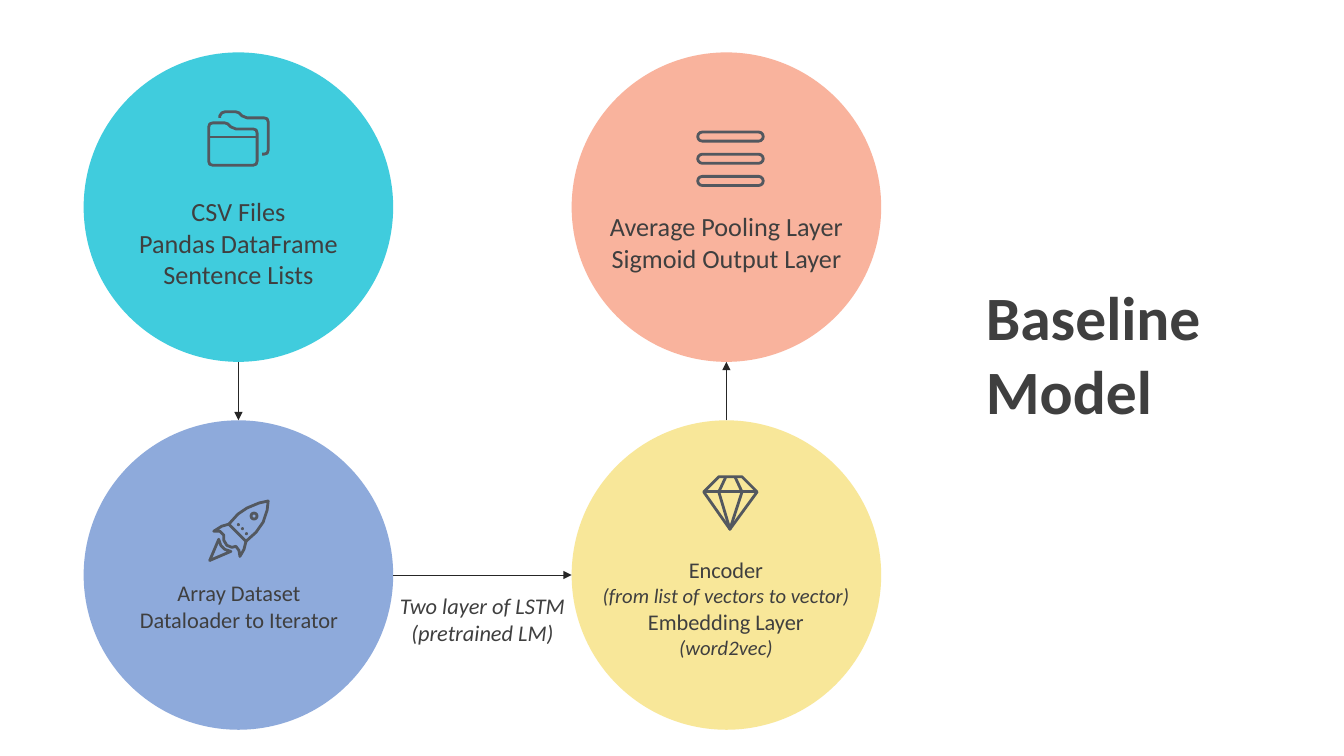
from dataclasses import dataclass

from lxml.etree import SubElement
from pptx import Presentation
from pptx.dml.color import RGBColor
from pptx.enum.shapes import MSO_CONNECTOR, MSO_SHAPE
from pptx.enum.text import PP_ALIGN
from pptx.oxml.ns import qn
from pptx.shapes.autoshape import Shape
from pptx.slide import Slide
from pptx.util import Inches, Pt

Point = tuple[float, float]
Contour = list[Point]

FONT = "Calibri"
TEXT_COLOR = "3F3F3F"
ICON_COLOR = "53585F"
ARROW_COLOR = "262626"
ICON_STROKE = 2
DIAMETER = 3.07
RADIUS = DIAMETER / 2
LEFT_COLUMN, RIGHT_COLUMN = 0.83, 5.67
TOP_ROW, BOTTOM_ROW = 0.52, 4.17


@dataclass
class Line:
    text: str
    size: float
    italic: bool = False
    bold: bool = False


@dataclass
class Label:
    left: float
    top: float
    width: float
    height: float
    lines: list[Line]
    align: PP_ALIGN = PP_ALIGN.CENTER


@dataclass
class Stage:
    left: float
    top: float
    color: str
    opacity: int
    label: Label


@dataclass
class Arrow:
    start: Point
    end: Point


STAGES = [
    Stage(LEFT_COLUMN, BOTTOM_ROW, "4472C4", 60, Label(1.14, 5.7, 2.46, 0.64, [
        Line("Array Dataset", 16), Line("Dataloader to Iterator", 16)])),
    Stage(LEFT_COLUMN, TOP_ROW, "00BCD2", 75, Label(1.11, 1.89, 2.51, 1.01, [
        Line("CSV Files", 18.7), Line("Pandas DataFrame", 18.7), Line("Sentence Lists", 18.7)])),
    Stage(RIGHT_COLUMN, BOTTOM_ROW, "F7E180", 80, Label(5.75, 5.47, 2.9, 1.11, [
        Line("Encoder", 16), Line("(from list of vectors to vector)", 14.7, italic=True),
        Line("Embedding Layer", 16), Line("(word2vec)", 14.7, italic=True)])),
    Stage(RIGHT_COLUMN, TOP_ROW, "F8A185", 80, Label(5.95, 2.04, 2.51, 0.71, [
        Line("Average Pooling Layer", 18.7), Line("Sigmoid Output Layer", 18.7)])),
]

TITLE = Label(9.68, 2.72, 3.07, 2.32, [
    Line("Baseline", 44, bold=True), Line("Model", 44, bold=True)], PP_ALIGN.LEFT)
LSTM_LABEL = Label(3.53, 5.83, 2.51, 0.64, [
    Line("Two layer of LSTM", 16, italic=True), Line("(pretrained LM)", 16, italic=True)])

ARROWS = [
    Arrow((LEFT_COLUMN + DIAMETER, BOTTOM_ROW + RADIUS), (RIGHT_COLUMN, BOTTOM_ROW + RADIUS)),
    Arrow((LEFT_COLUMN + RADIUS, TOP_ROW + DIAMETER), (LEFT_COLUMN + RADIUS, BOTTOM_ROW)),
    Arrow((RIGHT_COLUMN + RADIUS, BOTTOM_ROW), (RIGHT_COLUMN + RADIUS, TOP_ROW + DIAMETER)),
]

FOLDERS: list[Contour] = [
    [(2.07, 1.6), (2.07, 1.26), (2.08, 1.23), (2.11, 1.22), (2.23, 1.22), (2.26, 1.23),
     (2.29, 1.26), (2.34, 1.28), (2.51, 1.28), (2.54, 1.29), (2.55, 1.32), (2.55, 1.6),
     (2.54, 1.63), (2.51, 1.64), (2.11, 1.64), (2.08, 1.63), (2.07, 1.6)],
    [(2.07, 1.36), (2.55, 1.36)],
    [(2.18, 1.17), (2.18, 1.15), (2.2, 1.12), (2.23, 1.11), (2.34, 1.11), (2.37, 1.12),
     (2.4, 1.15), (2.45, 1.17), (2.62, 1.17), (2.65, 1.18), (2.66, 1.21), (2.66, 1.49),
     (2.65, 1.52), (2.62, 1.53), (2.6, 1.53)],
]
DIAMOND: list[Contour] = [
    [(7.13, 4.73), (7.36, 4.73), (7.51, 4.88), (7.24, 5.25), (6.98, 4.88), (7.13, 4.73)],
    [(6.98, 4.88), (7.51, 4.88)],
    [(7.2, 4.73), (7.13, 4.88), (7.24, 5.25), (7.36, 4.88), (7.29, 4.73)],
]
ROCKET: list[Contour] = [
    [(2.27, 5.2), (2.36, 5.1), (2.45, 5.04), (2.57, 4.99), (2.66, 4.97), (2.65, 5.06),
     (2.61, 5.18), (2.54, 5.28), (2.44, 5.37), (2.27, 5.2)],
    [(2.27, 5.2), (2.2, 5.22), (2.12, 5.27), (2.18, 5.27), (2.22, 5.31), (2.22, 5.36),
     (2.25, 5.41), (2.3, 5.43), (2.34, 5.42), (2.37, 5.46), (2.38, 5.52), (2.42, 5.45),
     (2.44, 5.37)],
    [(2.17, 5.35), (2.08, 5.56), (2.29, 5.47), (2.23, 5.45), (2.19, 5.41), (2.17, 5.35)],
]
ROCKET_RIVETS: Contour = [(2.36, 5.2), (2.4, 5.24), (2.44, 5.29)]
ROCKET_WINDOW: Point = (2.52, 5.12)


def rgb(color: str) -> RGBColor:
    return RGBColor.from_string(color)


def outline_icon(shape: Shape) -> None:
    shape.shadow.inherit = False
    shape.fill.background()
    shape.line.color.rgb = rgb(ICON_COLOR)
    shape.line.width = Pt(ICON_STROKE)


def add_circle(slide: Slide, left: float, top: float, diameter: float) -> Shape:
    circle = slide.shapes.add_shape(
        MSO_SHAPE.OVAL, Inches(left), Inches(top), Inches(diameter), Inches(diameter))
    circle.shadow.inherit = False
    return circle


def fill_circle(circle: Shape, color: str) -> None:
    circle.fill.solid()
    circle.fill.fore_color.rgb = rgb(color)
    circle.line.fill.background()


def add_label(slide: Slide, label: Label) -> None:
    text_box = slide.shapes.add_textbox(
        Inches(label.left), Inches(label.top), Inches(label.width), Inches(label.height))
    text_frame = text_box.text_frame
    text_frame.word_wrap = True
    text_frame.text = "\n".join(line.text for line in label.lines)
    for paragraph, line in zip(text_frame.paragraphs, label.lines):
        paragraph.alignment = label.align
        font = paragraph.runs[0].font
        font.name, font.size = FONT, Pt(line.size)
        font.bold, font.italic = line.bold, line.italic
        font.color.rgb = rgb(TEXT_COLOR)


def add_stage(slide: Slide, stage: Stage) -> None:
    circle = add_circle(slide, stage.left, stage.top, DIAMETER)
    fill_circle(circle, stage.color)
    color = circle.fill._xPr.find(qn("a:solidFill"))[0]
    SubElement(color, qn("a:alpha"), val=str(stage.opacity * 1000))
    add_label(slide, stage.label)


def add_arrow(slide: Slide, arrow: Arrow) -> None:
    connector = slide.shapes.add_connector(
        MSO_CONNECTOR.STRAIGHT, *map(Inches, arrow.start + arrow.end))
    connector.line.color.rgb = rgb(ARROW_COLOR)
    connector.line.width = Pt(0.75)
    SubElement(connector.line._get_or_add_ln(), qn("a:tailEnd"), type="triangle")
    SubElement(connector._element.spPr, qn("a:effectLst"))


def add_outline(slide: Slide, contours: list[Contour]) -> None:
    scaled = [[(Inches(x), Inches(y)) for x, y in contour] for contour in contours]
    builder = slide.shapes.build_freeform(*scaled[0][0])
    builder.add_line_segments(scaled[0][1:], close=False)
    for contour in scaled[1:]:
        builder.move_to(*contour[0])
        builder.add_line_segments(contour[1:], close=False)
    outline_icon(builder.convert_to_shape())


def add_rocket_details(slide: Slide) -> None:
    x, y = ROCKET_WINDOW
    outline_icon(add_circle(slide, x - 0.03, y - 0.03, 0.06))
    for x, y in ROCKET_RIVETS:
        fill_circle(add_circle(slide, x - 0.01, y - 0.01, 0.03), ICON_COLOR)


def add_layer_bars(slide: Slide) -> None:
    for index in range(3):
        bar = slide.shapes.add_shape(
            MSO_SHAPE.ROUNDED_RECTANGLE,
            Inches(6.92), Inches(1.31 + 0.22 * index), Inches(0.65), Inches(0.09))
        bar.adjustments[0] = 0.5
        outline_icon(bar)


def main() -> None:
    presentation = Presentation()
    presentation.slide_width, presentation.slide_height = Inches(13.33), Inches(7.5)
    slide = presentation.slides.add_slide(presentation.slide_layouts[6])
    add_label(slide, TITLE)
    for stage in STAGES:
        add_stage(slide, stage)
    for contours in (ROCKET, FOLDERS, DIAMOND):
        add_outline(slide, contours)
    add_rocket_details(slide)
    add_layer_bars(slide)
    for arrow in ARROWS:
        add_arrow(slide, arrow)
    add_label(slide, LSTM_LABEL)
    presentation.save("out.pptx")


if __name__ == "__main__":
    main()
